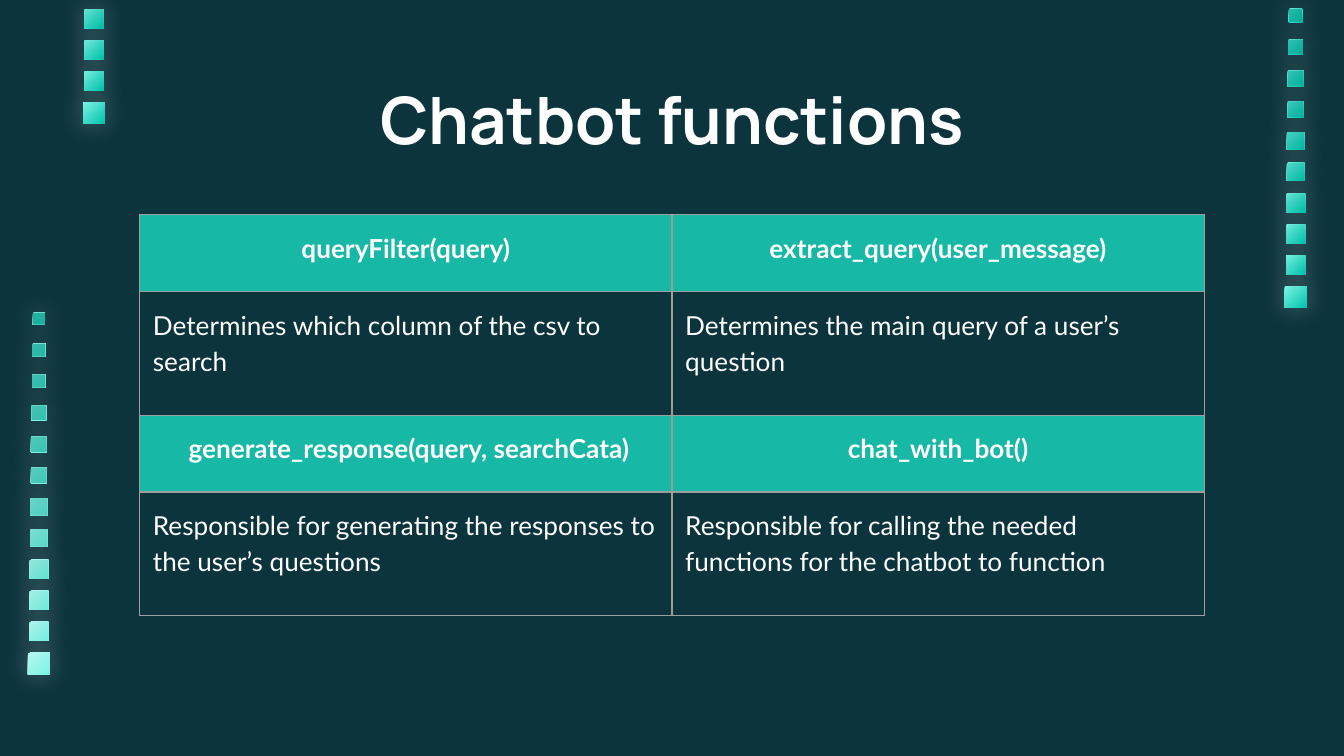
from lxml import etree
from pptx import Presentation
from pptx import util as u
from pptx.dml import color
from pptx.enum import shapes, text
from pptx.oxml import ns

BACKGROUND, WHITE, HEADING_FILL = "0C343D", "FFFFFF", "17B8A5"
BORDER, VEIL = "9E9E9E", "009F8C"
BRIGHT, PALE = ("7DF3E5", "02C5AE"), ("B6F8F0", "7DF3E5")

# Square sides in cm and veil opacity in percent, from the bottom square up
SQUARES = [(0.41, 0), (0.36, 5), (0.36, 10), (0.36, 20), (0.33, 30), (0.33, 40),
           (0.3, 50), (0.3, 55), (0.28, 60), (0.25, 65), (0.25, 70), (0.23, 80)]

FUNCTIONS = [
    ("queryFilter(query)", "Determines which column of the csv to search"),
    ("extract_query(user_message)", "Determines the main query of a user’s question"),
    (" generate_response(query, searchCata)",
     "Responsible for generating the responses to the user’s questions"),
    ("chat_with_bot()",
     "Responsible for calling the needed functions for the chatbot to function"),
]


def rgb(hex_colour):
    return color.RGBColor.from_string(hex_colour)


def add_xml(parent, tag, **attributes):
    return etree.SubElement(parent, ns.qn(tag), attributes)


def add_run(paragraph, words, font, size, bold):
    run = paragraph.add_run()
    run.text = words
    run.font.name = font
    run.font.size = u.Pt(size)
    run.font.bold = bold
    run.font.color.rgb = rgb(WHITE)


def add_square(slide, centre, top, side):
    square = slide.shapes.add_shape(shapes.MSO_SHAPE.RECTANGLE, u.Cm(centre - side / 2),
                                    u.Cm(top), u.Cm(side), u.Cm(side))
    square.shadow.inherit = False
    square.line.fill.background()
    return square


def add_glow(square):
    """Surround the square with a soft white shadow."""
    effects = square._element.spPr.find(ns.qn("a:effectLst"))
    shadow = add_xml(effects, "a:outerShdw", blurRad=str(u.Pt(14.6)), algn="bl",
                     rotWithShape="0")
    add_xml(add_xml(shadow, "a:srgbClr", val=WHITE), "a:alpha", val="31000")


def add_square_column(slide, left, top, width, height, count, colours):
    """Stack squares that shrink and darken upwards."""
    centre = left + width / 2
    pitch = (height - SQUARES[0][0]) / (count - 1)
    places = [(top + pitch * (count - 1 - i), side, opacity)
              for i, (side, opacity) in enumerate(SQUARES[:count])]
    for square_top, side, _ in places:
        square = add_square(slide, centre, square_top, side)
        square.fill.gradient()
        square.fill.gradient_angle = 315
        for stop, colour in zip(square.fill.gradient_stops, colours):
            stop.color.rgb = rgb(colour)
        add_glow(square)
    for square_top, side, opacity in places[1:]:
        veil = add_square(slide, centre, square_top, side)
        veil.fill.solid()
        veil.fill.fore_color.rgb = rgb(VEIL)
        veil_colour = veil._element.spPr.find(ns.qn("a:solidFill"))[0]
        add_xml(veil_colour, "a:alpha", val=str(opacity * 1000))


def add_title(slide, left, top, width, height):
    title = slide.shapes.add_textbox(u.Cm(left), u.Cm(top), u.Cm(width), u.Cm(height))
    frame = title.text_frame
    frame.word_wrap = True
    frame.margin_left = frame.margin_right = u.Cm(0.25)
    frame.margin_top = frame.margin_bottom = u.Cm(0.25)
    paragraph = frame.paragraphs[0]
    paragraph.alignment = text.PP_ALIGN.CENTER
    add_run(paragraph, "Chatbot functions", "Manrope", 35, True)


def add_borders(cell):
    properties = cell._tc.get_or_add_tcPr()
    for position, side in enumerate(("a:lnL", "a:lnR", "a:lnT", "a:lnB")):
        line = etree.Element(ns.qn(side), w=str(u.Pt(0.75)))
        add_xml(add_xml(line, "a:solidFill"), "a:srgbClr", val=BORDER)
        properties.insert(position, line)


def fill_cell(cell, words, is_heading):
    cell.margin_left = cell.margin_right = u.Cm(0.25)
    cell.margin_top = cell.margin_bottom = u.Cm(0.25)
    if is_heading:
        cell.fill.solid()
        cell.fill.fore_color.rgb = rgb(HEADING_FILL)
    else:
        cell.fill.background()
    add_borders(cell)
    paragraph = cell.text_frame.paragraphs[0]
    paragraph.line_spacing = 1.15
    paragraph.alignment = text.PP_ALIGN.CENTER if is_heading else text.PP_ALIGN.LEFT
    add_run(paragraph, words, "Lato", 14, is_heading)


def add_function_table(slide, left, top, width, height):
    """Place the functions two abreast, each name above its description."""
    table = slide.shapes.add_table(4, 2, u.Cm(left), u.Cm(top),
                                   u.Cm(width), u.Cm(height)).table
    table.first_row = table.horz_banding = False
    for column in table.columns:
        column.width = u.Cm(width / 2)
    heading_height = 1.45
    for i, row in enumerate(table.rows):
        row.height = u.Cm(height / 2 - heading_height if i % 2 else heading_height)
    for i, (name, description) in enumerate(FUNCTIONS):
        pair, column = divmod(i, 2)
        fill_cell(table.cell(2 * pair, column), name, True)
        fill_cell(table.cell(2 * pair + 1, column), description, False)


def main():
    deck = Presentation()
    deck.slide_width, deck.slide_height = u.Cm(25.4), u.Cm(14.29)
    slide = deck.slides.add_slide(deck.slide_layouts[6])
    slide.background.fill.solid()
    slide.background.fill.fore_color.rgb = rgb(BACKGROUND)
    add_square_column(slide, 24.28, 0.17, 0.41, 5.65, 10, BRIGHT)
    add_square_column(slide, 0.53, 5.91, 0.41, 6.84, 12, PALE)
    add_square_column(slide, 1.57, 0.18, 0.41, 2.16, 4, BRIGHT)
    add_title(slide, 2, 1.24, 21.41, 1.6)
    add_function_table(slide, 2.64, 4.06, 20.12, 7.58)
    deck.save("out.pptx")


if __name__ == "__main__":
    main()
